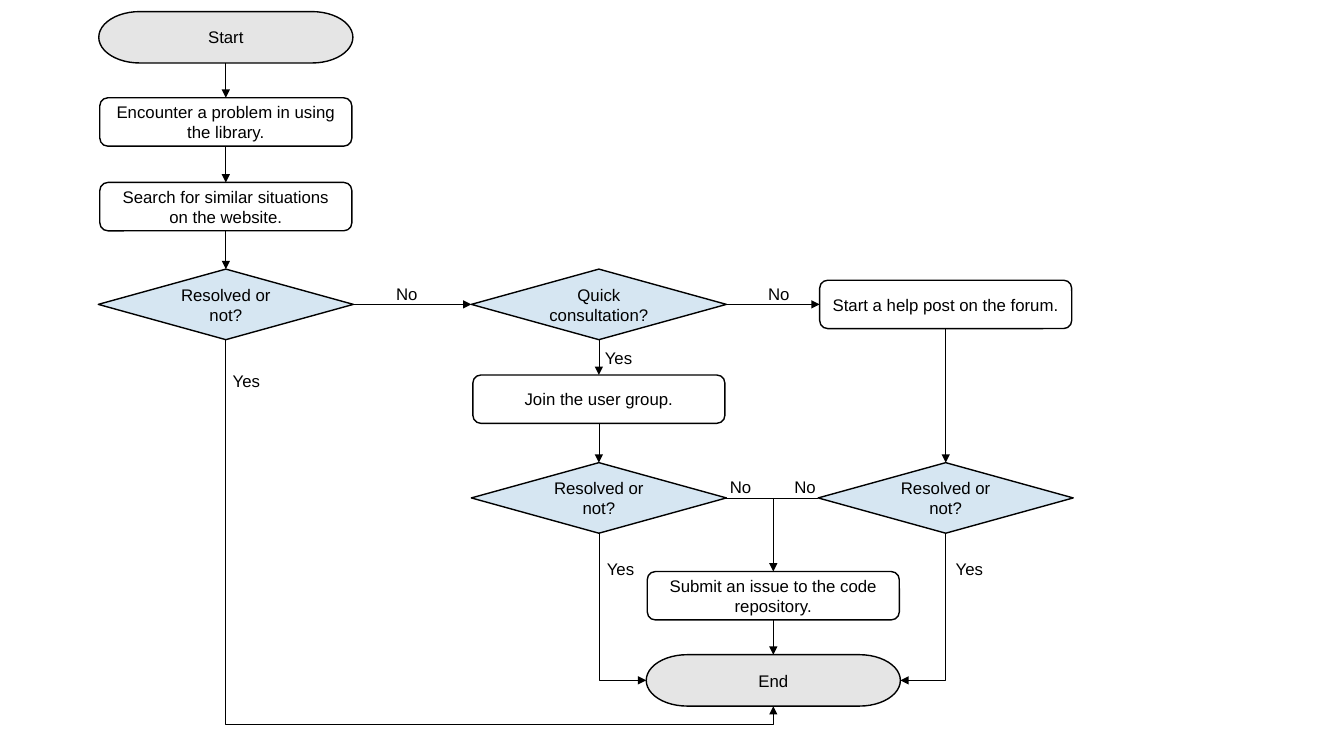
from lxml import etree
from pptx import Presentation, util as u
from pptx.dml.color import RGBColor
from pptx.enum import shapes, text
from pptx.oxml.ns import qn

# Centres of the grid's columns and rows, in inches
COLS = [2.24, 5.94, 7.67, 9.38]
ROWS = [0.37, 1.21, 2.05, 3.02, 3.96, 4.94, 5.91, 6.75]

# kind: preset, width, height, fill
KINDS = {
    "terminal": (shapes.MSO_SHAPE.FLOWCHART_TERMINATOR, 2.52, 0.51, "E5E5E5"),
    "step": (shapes.MSO_SHAPE.ROUNDED_RECTANGLE, 2.5, 0.48, "FFFFFF"),
    "decision": (shapes.MSO_SHAPE.FLOWCHART_DECISION, 2.53, 0.7, "D6E6F2"),
}

# name: kind, column, row, wording
NODES = {
    "start": ("terminal", 0, 0, "Start"),
    "problem": ("step", 0, 1, "Encounter a problem in using the library."),
    "search": ("step", 0, 2, "Search for similar situations on the website."),
    "found": ("decision", 0, 3, "Resolved or not?"),
    "quick": ("decision", 1, 3, "Quick consultation?"),
    "forum": ("step", 3, 3, "Start a help post on the forum."),
    "group": ("step", 1, 4, "Join the user group."),
    "group_ok": ("decision", 1, 5, "Resolved or not?"),
    "forum_ok": ("decision", 3, 5, "Resolved or not?"),
    "issue": ("step", 2, 6, "Submit an issue to the code repository."),
    "end": ("terminal", 2, 7, "End"),
}

DOWN = [("start", "problem"), ("problem", "search"), ("search", "found"),
        ("quick", "group"), ("group", "group_ok"), ("forum", "forum_ok"),
        ("issue", "end")]
ACROSS = [("found", "quick"), ("quick", "forum")]

# wording, left, top
LABELS = [("Yes", 2.21, 3.63), ("Yes", 5.9, 3.4), ("Yes", 5.92, 5.49),
          ("Yes", 9.38, 5.49), ("No", 3.83, 2.77), ("No", 7.52, 2.77),
          ("No", 7.14, 4.68), ("No", 7.78, 4.68)]

prs = Presentation()
prs.slide_width, prs.slide_height = u.Inches(13.33), u.Inches(7.5)
s = prs.slides.add_slide(prs.slide_layouts[6])


def color(hex_value):
    return RGBColor.from_string(hex_value)


def write(sp, wording, align=text.PP_ALIGN.LEFT, anchor=text.MSO_ANCHOR.TOP,
          size=12, font="Arial", ink="000000"):
    tf = sp.text_frame
    tf.word_wrap, tf.vertical_anchor = True, anchor
    p = tf.paragraphs[0]
    p.alignment = align
    r = p.add_run()
    r.text = wording
    r.font.size, r.font.name = u.Pt(size), font
    r.font.color.rgb = color(ink)


def port(name, side):
    """Return the point in the middle of one side of a node."""
    kind, col, row, _ = NODES[name]
    _, w, h, _ = KINDS[kind]
    dx, dy = {"left": (-1, 0), "right": (1, 0),
              "top": (0, -1), "bottom": (0, 1)}[side]
    return COLS[col] + dx * w / 2, ROWS[row] + dy * h / 2


def link(start, end, kind=shapes.MSO_CONNECTOR.STRAIGHT, arrow=True):
    cxn = s.shapes.add_connector(kind, *map(u.Inches, (*start, *end)))
    cxn.line.width = u.Pt(0.5)
    cxn.line.color.rgb = color("000000")
    if arrow:
        ln = cxn.line._get_or_add_ln()
        etree.SubElement(ln, qn("a:tailEnd"), type="triangle")
    etree.SubElement(cxn._element.spPr, qn("a:effectLst"))
    return cxn


def elbow(start, end, preset, **adjust):
    """Draw a bent arrow that leaves downwards: a sideways one, turned by 90 degrees."""
    (x1, y1), (x2, y2) = start, end
    cx, cy = (x1 + x2) / 2, (y1 + y2) / 2
    half_w, half_h = (y2 - y1) / 2, (x2 - x1) / 2
    cxn = link((cx - half_w, cy + half_h), (cx + half_w, cy - half_h),
               shapes.MSO_CONNECTOR.ELBOW)
    sp_pr = cxn._element.spPr
    sp_pr.find(qn("a:xfrm")).set("rot", str(90 * 60000))
    geom = sp_pr.find(qn("a:prstGeom"))
    geom.set("prst", preset)
    for name, share in adjust.items():
        etree.SubElement(geom.find(qn("a:avLst")), qn("a:gd"), name=name,
                         fmla=f"val {round(share * 100000)}")


for kind, col, row, wording in NODES.values():
    preset, w, h, fill = KINDS[kind]
    sp = s.shapes.add_shape(preset, u.Inches(COLS[col] - w / 2),
                            u.Inches(ROWS[row] - h / 2), u.Inches(w), u.Inches(h))
    sp.shadow.inherit = False
    sp.fill.solid()
    sp.fill.fore_color.rgb = color(fill)
    sp.line.color.rgb = color("000000")
    sp.line.width = u.Pt(1)
    write(sp, wording, text.PP_ALIGN.CENTER, text.MSO_ANCHOR.MIDDLE)

for a, b in DOWN:
    link(port(a, "bottom"), port(b, "top"))
for a, b in ACROSS:
    link(port(a, "right"), port(b, "left"))

# Both unresolved branches meet above the issue
link(port("group_ok", "right"), port("forum_ok", "left"), arrow=False)
link((COLS[2], ROWS[5]), port("issue", "top"))

elbow(port("group_ok", "bottom"), port("end", "left"), "bentConnector2")
elbow(port("forum_ok", "bottom"), port("end", "right"), "bentConnector2")
elbow(port("found", "bottom"), port("end", "bottom"), "bentConnector3", adj1=1.05)

for wording, x, y in LABELS:
    write(s.shapes.add_textbox(*map(u.Inches, (x, y, 0.51, 0.3))), wording)

prs.save("out.pptx")
